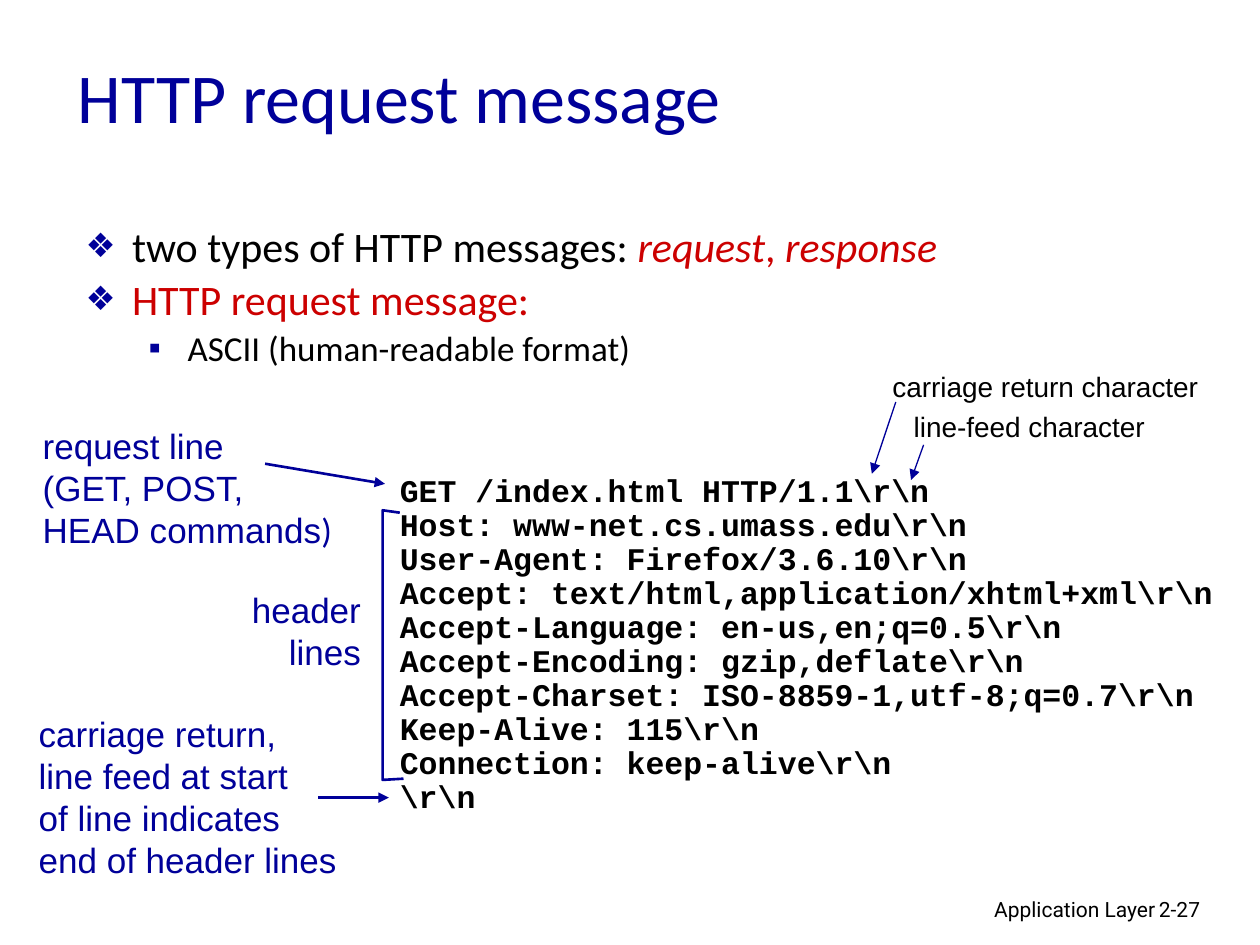
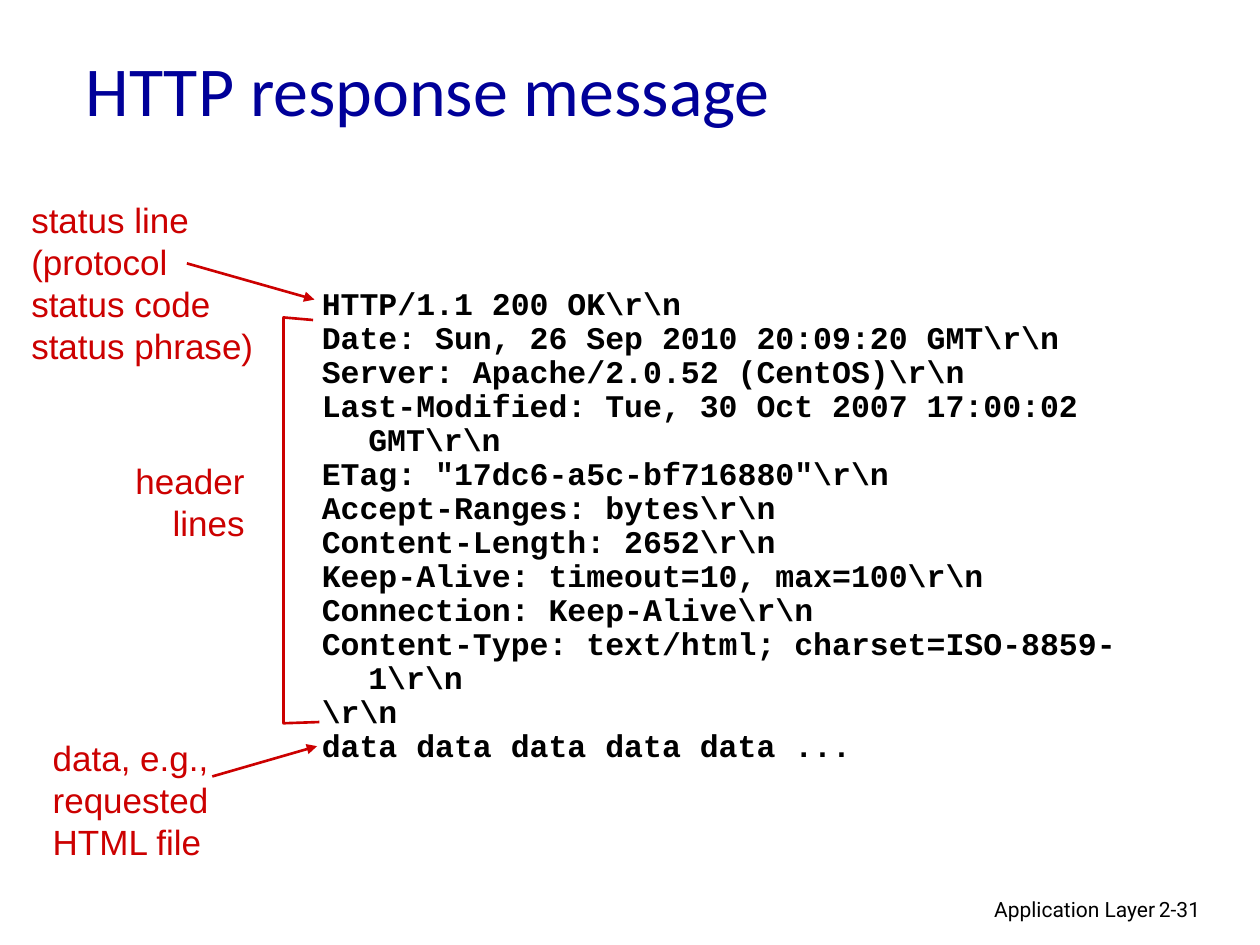
from pptx import Presentation
from pptx import util as u
from pptx.dml import color
from pptx.enum import shapes, text
from pptx.oxml import ns
from lxml import etree

Pt = u.Pt
COLORS = {"navy": "000099", "red": "CC0000", "black": "000000"}
LEVELS = [  # left margin, hanging indent, bullet, bullet size %, text size, space before
    (26.6, -26.6, "❖", 80, 24, 6),
    (58.3, -22.3, "▪", 100, 20, 5),
]

REQUEST = r"""GET /index.html HTTP/1.1\r\n
Host: www-net.cs.umass.edu\r\n
User-Agent: Firefox/3.6.10\r\n
Accept: text/html,application/xhtml+xml\r\n
Accept-Language: en-us,en;q=0.5\r\n
Accept-Encoding: gzip,deflate\r\n
Accept-Charset: ISO-8859-1,utf-8;q=0.7\r\n
Keep-Alive: 115\r\n
Connection: keep-alive\r\n
\r\n"""

RESPONSE = r"""HTTP/1.1 200 OK\r\n
Date: Sun, 26 Sep 2010 20:09:20 GMT\r\n
Server: Apache/2.0.52 (CentOS)\r\n
Last-Modified: Tue, 30 Oct 2007 17:00:02 GMT\r\n
ETag: "17dc6-a5c-bf716880"\r\n
Accept-Ranges: bytes\r\n
Content-Length: 2652\r\n
Keep-Alive: timeout=10, max=100\r\n
Connection: Keep-Alive\r\n
Content-Type: text/html; charset=ISO-8859-1\r\n
\r\n
data data data data data ..."""


def rgb(name):
    return color.RGBColor.from_string(COLORS[name])


def sub(parent, tag, **attrs):
    return etree.SubElement(parent, ns.qn(tag), **attrs)


def style(r, font, size, name, bold=False, italic=False):
    f = r.font
    f.name, f.size, f.bold, f.italic = font, Pt(size), bold, italic
    f.color.rgb = rgb(name)


def indent(p, left, first):
    pPr = p._p.get_or_add_pPr()
    pPr.set("marL", str(Pt(left)))
    pPr.set("indent", str(Pt(first)))
    return pPr


class Deck:
    """Holds the presentation, the current slide and its accent colour."""

    def __init__(self):
        self.prs = Presentation()
        self.prs.slide_width, self.prs.slide_height = Pt(720), Pt(540)

    def slide(self, title, left, top, height, number, accent):
        self.s = self.prs.slides.add_slide(self.prs.slide_layouts[6])
        self.accent = accent
        self.text("Application Layer", (439.2, 509, 228.2, 22.3), "Roboto", 12, "black", right=True)
        self.text(number, (655.2, 509, 53.3, 21.6), "Roboto", 12, "black")
        tf = self.text(title, (left, top, 612, height), "Calibri", 40, "navy")
        tf.vertical_anchor = text.MSO_ANCHOR.MIDDLE

    def box(self, bounds, wrap=True, grow=False):
        tf = self.s.shapes.add_textbox(*map(Pt, bounds)).text_frame
        tf.word_wrap = wrap
        tf.auto_size = text.MSO_AUTO_SIZE.SHAPE_TO_FIT_TEXT if grow else text.MSO_AUTO_SIZE.NONE
        return tf

    def text(self, content, bounds, font, size, name, bold=False, right=False, wrap=True, grow=False):
        tf = self.box(bounds, wrap, grow)
        tf.text = content
        for p in tf.paragraphs:
            p.alignment = text.PP_ALIGN.RIGHT if right else text.PP_ALIGN.LEFT
            for r in p.runs:
                style(r, font, size, name, bold)
        return tf

    def label(self, content, bounds, right=False):
        return self.text(content, bounds, "Arial", 20, self.accent, right=right, wrap=False, grow=True)

    def note(self, content, bounds):
        return self.text(content, bounds, "Arial", 16, "black", grow=True)

    def code(self, content, bounds, wrap):
        tf = self.text(content, bounds, "Courier New", 18, "black", bold=True, wrap=wrap, grow=True)
        for p in tf.paragraphs:
            indent(p, 27, -26.6)
            p.line_spacing = 0.9

    def bullets(self, items, bounds):
        """Each item is a level and its runs: (text, colour, italic)."""
        tf = self.box(bounds)
        for i, (level, runs) in enumerate(items):
            left, first, mark, percent, size, before = LEVELS[level]
            p = tf.paragraphs[0] if i == 0 else tf.add_paragraph()
            p.level, p.line_spacing = level, 0.85
            if i:
                p.space_before = Pt(before)
            pPr = indent(p, left, first)
            sub(sub(pPr, "a:buClr"), "a:srgbClr", val=COLORS["navy"])
            sub(pPr, "a:buSzPct", val=str(percent * 1000))
            sub(pPr, "a:buFont", typeface="Arial")
            sub(pPr, "a:buChar", char=mark)
            for content, name, italic in runs:
                r = p.add_run()
                r.text = content
                style(r, "Calibri", size, name, italic=italic)

    def arrow(self, start, end, width=1.5):
        c = self.s.shapes.add_connector(shapes.MSO_CONNECTOR.STRAIGHT, *map(Pt, start + end))
        c.line.color.rgb, c.line.width = rgb(self.accent), Pt(width)
        sub(c.line._get_or_add_ln(), "a:tailEnd", type="triangle")
        sub(c._element.spPr, "a:effectLst")

    def bracket(self, first, *rest):
        fb = self.s.shapes.build_freeform(*map(Pt, first))
        fb.add_line_segments([(Pt(x), Pt(y)) for x, y in rest], close=False)
        sp = fb.convert_to_shape()
        sp.shadow.inherit = False
        sp.fill.background()
        sp.line.color.rgb, sp.line.width = rgb(self.accent), Pt(1.5)

    def header_lines(self, left, top):
        self.label("header\nlines", (left, top, 90, 55.4), right=True)


def request_slide(d):
    d.slide("HTTP request message", 37.4, 18.7, 72, "2-27", "navy")
    d.bullets([
        (0, [("two types of HTTP messages: ", "black", False), ("request", "red", True),
             (", ", "red", False), ("response", "red", True)]),
        (0, [("HTTP request message:", "red", False)]),
        (1, [("ASCII (human-readable format)", "black", False)]),
    ], (41.8, 126.7, 612, 365.8))

    tf = d.label("request line\n(GET, POST,\nHEAD commands", (17.3, 239, 195, 79.2))
    r = tf.paragraphs[-1].add_run()
    r.text = ")"
    style(r, "Calibri", 20, "navy")
    d.arrow((151.5, 265), (220, 276.5))

    d.bracket((228.5, 293), (218.7, 291.6), (218.7, 445.7), (230.6, 445))
    d.header_lines(123.4, 332.6)
    d.arrow((181.8, 455.8), (222.2, 455.8))
    d.label("carriage return,\nline feed at start\nof line indicates\nend of header lines",
            (15, 403.5, 195, 103.7))
    d.code(REQUEST, (221, 267.8, 532.8, 201.6), wrap=False)

    d.arrow((511.9, 229.7), (498.2, 270.7), 0.75)
    d.note("carriage return character", (502.9, 207.4, 242.6, 26.6))
    d.note("line-feed character", (515, 230.7, 200.2, 26.6))
    d.arrow((527.8, 254.2), (520.6, 274.3), 0.75)


def response_slide(d):
    d.slide("HTTP response message", 41.8, 12.2, 77, "2-31", "red")
    d.label("status line\n(protocol\nstatus code\nstatus phrase)", (10.8, 109.8, 155, 103.7))
    d.arrow((106.8, 150.5), (179.7, 171.2))
    d.bracket((178.9, 182.9), (162, 181.4), (162, 413.3), (182.5, 412.6))
    d.header_lines(56.9, 258.8)
    d.arrow((121.3, 443.7), (181.2, 426.4))
    d.label("data, e.g.,\nrequested\nHTML file", (23, 417.2, 120, 79.2))
    d.code(RESPONSE, (176.4, 161, 496.8, 279.4), wrap=True)


def main():
    d = Deck()
    request_slide(d)
    response_slide(d)
    d.prs.save("out.pptx")


if __name__ == "__main__":
    main()
